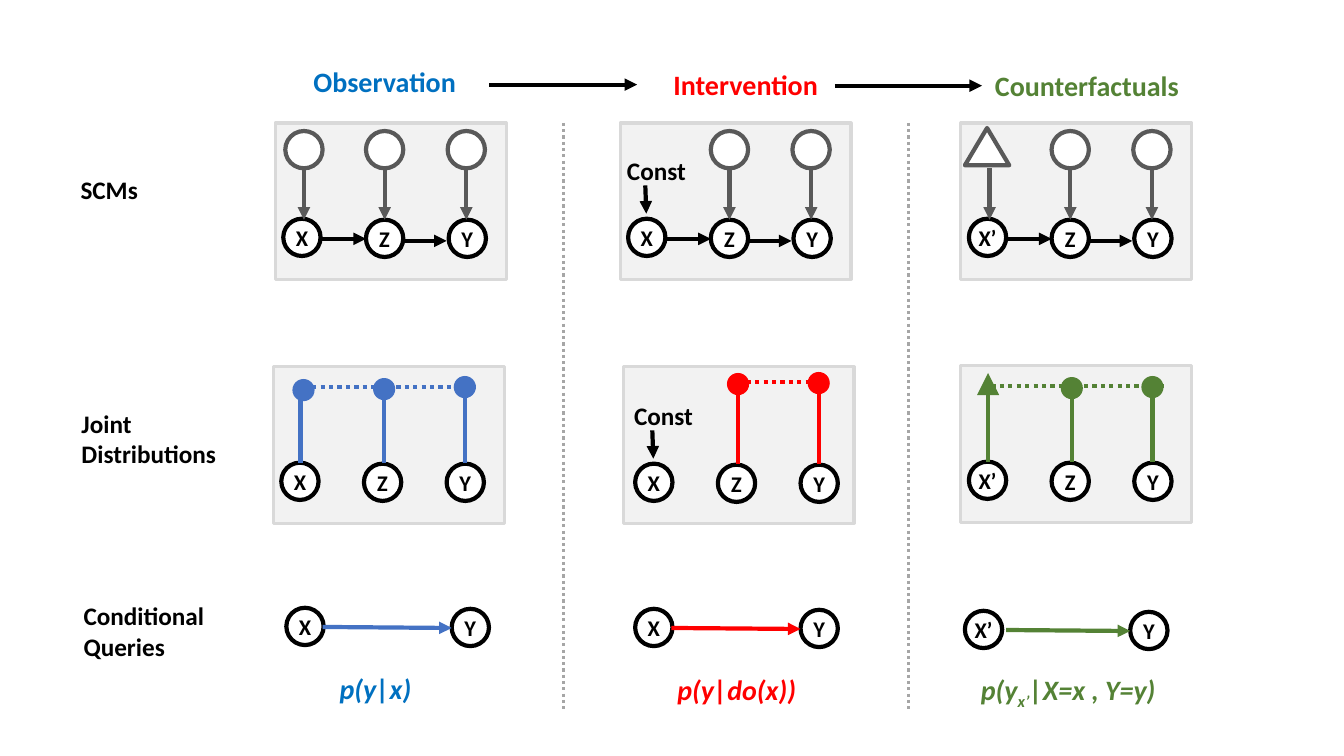
from lxml import etree
from pptx import Presentation
from pptx.dml.color import RGBColor
from pptx.enum.dml import MSO_LINE
from pptx.enum.shapes import MSO_CONNECTOR, MSO_SHAPE
from pptx.enum.text import MSO_ANCHOR, MSO_AUTO_SIZE, PP_ALIGN
from pptx.oxml.ns import qn
from pptx.util import Inches, Pt

RECTANGLE, OVAL = MSO_SHAPE.RECTANGLE, MSO_SHAPE.OVAL
TRIANGLE = MSO_SHAPE.ISOSCELES_TRIANGLE
STRAIGHT = MSO_CONNECTOR.STRAIGHT
DOTTED = MSO_LINE.ROUND_DOT
GROW = MSO_AUTO_SIZE.SHAPE_TO_FIT_TEXT
MIDDLE, CENTER = MSO_ANCHOR.MIDDLE, PP_ALIGN.CENTER
FONT = "Calibri"

COLORS = {
    "black": "000000", "white": "FFFFFF", "panel": "F2F2F2",
    "border": "D9D9D9", "noise": "595959", "divider": "A6A6A6",
    "sky": "0070C0", "blue": "4472C4", "red": "FF0000", "green": "548235",
}

# Each text run is (text, baseline in thousandths of a percent).
# A column's cause is what sets X: noise, a constant, or a fixed noise value.
COLUMNS = [
    {
        "heading": ("Observation", 3.01, 0.59, 1.69),
        "formula": ([("p(y|x)", 0)], 3.27, 6.61, 0.92),
        "text_color": "sky", "color": "blue", "cause": "noise",
        "labels": ["X", "Z", "Y"],
        "scm": (2.73, 1.22), "joint": (2.71, 3.64), "shift": (0, 0),
        "dot_tops": [0.12, 0.11, 0.09], "query": (2.84, 6.03), "gap": 0.36,
    },
    {
        "heading": ("Intervention", 6.58, 0.62, 1.65),
        "formula": ([("p(y|do(x))", 0)], 6.62, 6.62, 1.39),
        "text_color": "red", "color": "red", "cause": "constant",
        "labels": ["X", "Z", "Y"],
        "scm": (6.15, 1.22), "joint": (6.18, 3.64), "shift": (0.04, 0.01),
        "dot_tops": [0.05, 0.05, 0.04], "query": (6.3, 6.04), "gap": 0.36,
    },
    {
        "heading": ("Counterfactuals", 9.77, 0.63, 2.04),
        "formula": ([("p(y", 0), ("x’", -25000), ("|X=x , Y=y)", 0)],
                    9.63, 6.62, 1.97),
        "text_color": "green", "color": "green", "cause": "fixed",
        "labels": ["X’", "Z", "Y"],
        "scm": (9.53, 1.22), "joint": (9.53, 3.63), "shift": (0, 0),
        "dot_tops": [0.07, 0.11, 0.1], "query": (9.57, 6.06), "gap": 0.41,
    },
]
ROW_LABELS = [("SCMs", 0.7, 1.68, 0.78, 0.4),
              ("Joint Distributions", 0.71, 4, 1.71, 0.71),
              ("Conditional Queries", 0.73, 5.91, 1.62, 0.71)]
HEADING_ARROWS = [(4.85, 6.32, 0.84), (8.28, 9.74, 0.85)]
DIVIDERS = [5.59, 9.01]

# Offsets inside a panel
PANEL_WIDTH, PANEL_HEIGHT = 2.29, 1.55
NODE = 0.37
NODE_LEFTS, NODE_TOPS = [0.08, 0.9, 1.72], [0.95, 0.96, 0.96]
NOISE_LEFTS, NOISE_TOP = [0.1, 0.9, 1.71], 0.08
DOT, DOT_LEFTS = 0.22, [0.19, 0.99, 1.79]
STEM_LEFTS = [0.27, 1.1, 1.9]
QUERY_SPAN = 1.64

presentation = Presentation()
presentation.slide_width = Inches(13.33)
presentation.slide_height = Inches(7.5)
slide = presentation.slides.add_slide(presentation.slide_layouts[6])


def rgb(name):
    return RGBColor.from_string(COLORS[name])


def add_run(paragraph, text, size, color="black", italic=False, baseline=0):
    run = paragraph.add_run()
    run.text = text
    run.font.color.rgb = rgb(color)
    format_values = {"name": FONT, "size": Pt(size), "bold": True,
                     "italic": italic}
    for name, value in format_values.items():
        setattr(run.font, name, value)
    if baseline:
        run._r.get_or_add_rPr().set("baseline", str(baseline))


def add_text(runs, left, top, width, height, size, color="black",
             italic=False, wrap=False):
    box = slide.shapes.add_textbox(Inches(left), Inches(top),
                                   Inches(width), Inches(height))
    box.text_frame.word_wrap = wrap
    box.text_frame.auto_size = GROW
    for text, baseline in runs:
        add_run(box.text_frame.paragraphs[0], text, size, color, italic,
                baseline)


def add_figure(kind, left, top, width, height, fill=None, line=None, weight=3):
    shape = slide.shapes.add_shape(kind, Inches(left), Inches(top),
                                   Inches(width), Inches(height))
    shape.shadow.inherit = False
    if fill:
        shape.fill.solid()
        shape.fill.fore_color.rgb = rgb(fill)
    else:
        shape.fill.background()
    if line:
        shape.line.color.rgb = rgb(line)
        shape.line.width = Pt(weight)
    else:
        shape.line.fill.background()
    return shape


def add_line(start, end, color="black", weight=3, dash=None, arrow=False):
    connector = slide.shapes.add_connector(
        STRAIGHT, *(Inches(value) for value in (*start, *end)))
    connector.line.color.rgb = rgb(color)
    connector.line.width = Pt(weight)
    if dash:
        connector.line.dash_style = dash
    if arrow:
        line = connector.line._get_or_add_ln()
        etree.SubElement(line, qn("a:tailEnd"), type="triangle")
    etree.SubElement(connector._element.spPr, qn("a:effectLst"))


def add_node(label, left, top, fill="white"):
    node = add_figure(OVAL, left, top, NODE, NODE, fill, "black")
    frame = node.text_frame
    format_values = {"margin_left": 0, "margin_right": 0, "margin_top": 0,
                     "margin_bottom": 0, "word_wrap": False,
                     "vertical_anchor": MIDDLE}
    for name, value in format_values.items():
        setattr(frame, name, value)
    frame.paragraphs[0].alignment = CENTER
    add_run(frame.paragraphs[0], label, 16)


def add_panel(left, top):
    add_figure(RECTANGLE, left, top, PANEL_WIDTH, PANEL_HEIGHT,
               "panel", "border", 2.25)


def add_panel_nodes(labels, left, top):
    for label, x, y in zip(labels, NODE_LEFTS, NODE_TOPS):
        add_node(label, left + x, top + y)


def add_constant(left, top):
    add_text([("Const", 0)], left - 0.03, top + 0.27, 0.84, 0.4, 18)
    add_line((left + 0.25, top + 0.62), (left + 0.26, top + 0.9), arrow=True)


def add_scm(column):
    left, top = column["scm"]
    add_panel(left, top)
    add_panel_nodes(column["labels"], left, top)
    for start, end, y in [(0.46, 0.9, 1.15), (1.25, 1.7, 1.17)]:
        add_line((left + start, top + y), (left + end, top + y), arrow=True)
    for index, x in enumerate(NOISE_LEFTS):
        if index == 0 and column["cause"] == "constant":
            add_constant(left, top)
            continue
        center = left + x + NODE / 2
        add_line((center, top + NOISE_TOP + NODE), (center, top + 0.96),
                 "noise", arrow=True)
        if index == 0 and column["cause"] == "fixed":
            add_figure(TRIANGLE, left + 0.04, top + 0.05, 0.44, NODE,
                       "white", "noise")
        else:
            add_figure(OVAL, left + x, top + NOISE_TOP, NODE, NODE,
                       "white", "noise")


def add_joint(column):
    panel_left, panel_top = column["joint"]
    add_panel(panel_left, panel_top)
    left, top = (panel_left + column["shift"][0],
                 panel_top + column["shift"][1])
    add_panel_nodes(column["labels"], left, top)
    first = 0
    if column["cause"] == "constant":
        add_constant(left, top)
        first = 1
    color = column["color"]
    link_y = top + column["dot_tops"][1] + 0.09
    add_line((left + DOT_LEFTS[first] + 0.03, link_y),
             (left + DOT_LEFTS[-1] + DOT, link_y), color, dash=DOTTED)
    for index in range(first, 3):
        dot_top = top + column["dot_tops"][index]
        stem_x = left + STEM_LEFTS[index]
        add_line((stem_x, dot_top + 0.12), (stem_x, top + 0.95), color)
        fixed = index == 0 and column["cause"] == "fixed"
        add_figure(TRIANGLE if fixed else OVAL,
                   left + (0.16 if fixed else DOT_LEFTS[index]),
                   dot_top, DOT, DOT, color)


def add_query(column):
    left, top = column["query"]
    add_node(column["labels"][0], left, top, None)
    add_node(column["labels"][-1], left + QUERY_SPAN, top + 0.01, None)
    add_line((left + column["gap"], top + 0.19),
             (left + QUERY_SPAN, top + 0.2), column["color"], arrow=True)


for column in COLUMNS:
    heading, *place = column["heading"]
    add_text([(heading, 0)], *place, 0.44, 20, column["text_color"])
    add_scm(column)
    add_joint(column)
    add_query(column)
    runs, *place = column["formula"]
    add_text(runs, *place, 0.44, 20, column["text_color"], italic=True)
for label, *place in ROW_LABELS:
    add_text([(label, 0)], *place, 18, wrap=label != "SCMs")
for start, end, y in HEADING_ARROWS:
    add_line((start, y), (end, y), arrow=True)
for x in DIVIDERS:
    add_line((x, 1.22), (x, 7.04), "divider", 2.25, DOTTED)

presentation.save("out.pptx")
